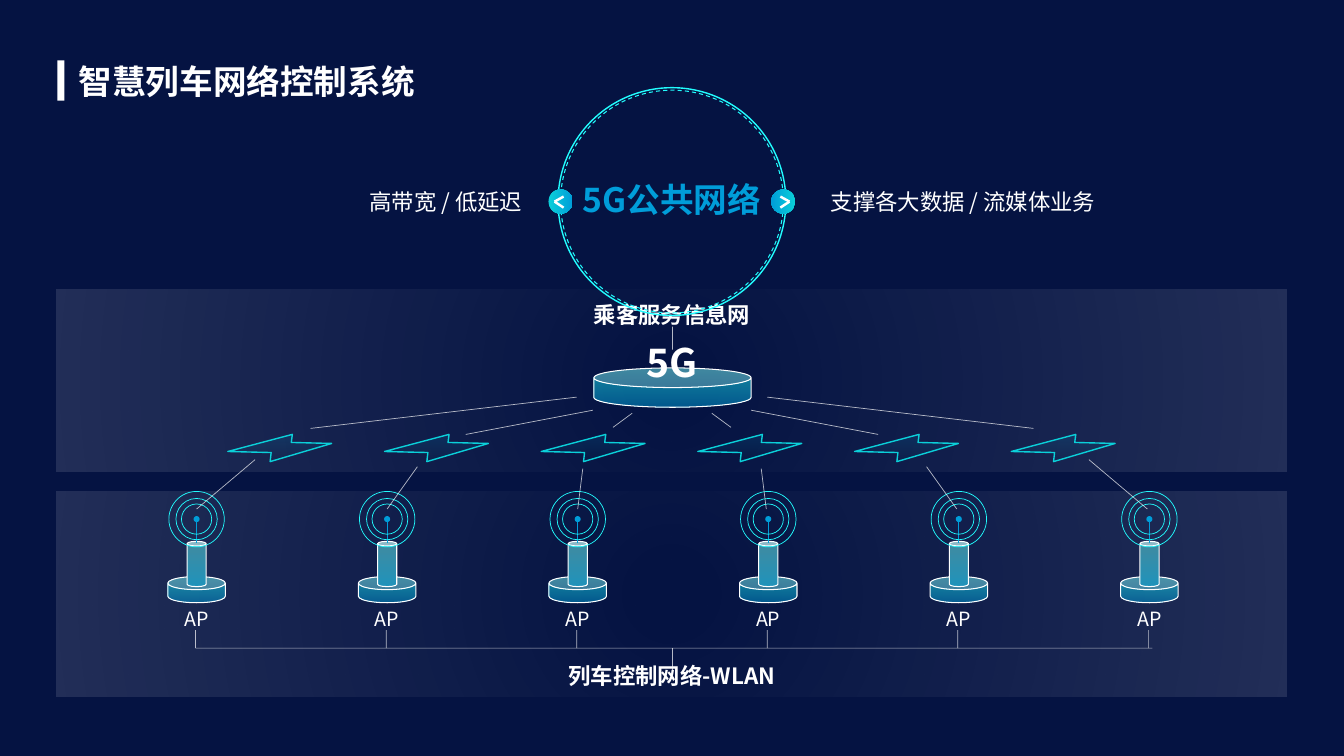
import lxml.etree
import pptx
import pptx.dml.color
import pptx.enum.dml
import pptx.enum.shapes
import pptx.enum.text
import pptx.oxml.ns
import pptx.util

Inches = pptx.util.Inches
Pt = pptx.util.Pt
qn = pptx.oxml.ns.qn
SHAPES = pptx.enum.shapes.MSO_SHAPE
ALIGN = pptx.enum.text.PP_ALIGN

FONT = "Noto Sans CJK SC"
WIDTH = 13.33
WHITE, CYAN, BLUE, TEAL = "FFFFFF", "22FCFE", "009DD9", "0BD0D9"
GLASS = [(CYAN, 50), (BLUE, 50)]
STATION_COUNT = 6
FIRST_STATION, STATION_STEP = 1.95, 1.89
FIRST_BOLT, BOLT_STEP = 2.26, 1.554
BOLT = [(0.42, 4.58), (0.43, 4.49), (0, 4.48), (0.64, 4.31),
        (0.63, 4.39), (1.03, 4.4)]
# Left half of the links; the right half is mirrored.
LINKS = [
    ((2.53, 4.56), (1.95, 5.05)),
    ((4.14, 4.63), (3.84, 5.05)),
    ((5.78, 4.65), (5.73, 5.05)),
    ((5.72, 3.94), (3.08, 4.25)),
    ((5.88, 4.07), (4.62, 4.31)),
    ((6.27, 4.1), (6.08, 4.24)),
]


def rgb(value):
    return pptx.dml.color.RGBColor.from_string(value)


def mirror(point):
    return WIDTH - point[0], point[1]


def fill_gradient(shape, stops, angle=90, radial=False):
    """Fill with (colour, opacity percent) stops, evenly spread."""
    gradient = lxml.etree.Element(qn("a:gradFill"), rotWithShape="1")
    stop_list = lxml.etree.SubElement(gradient, qn("a:gsLst"))
    for index, (color, opacity) in enumerate(stops):
        position = index * 100000 // (len(stops) - 1)
        stop = lxml.etree.SubElement(stop_list, qn("a:gs"), pos=str(position))
        tint = lxml.etree.SubElement(stop, qn("a:srgbClr"), val=color)
        lxml.etree.SubElement(tint, qn("a:alpha"), val=str(opacity * 1000))
    if radial:
        course = lxml.etree.SubElement(gradient, qn("a:path"), path="circle")
        lxml.etree.SubElement(course, qn("a:fillToRect"),
                              l="50000", t="50000", r="50000", b="50000")
    else:
        lxml.etree.SubElement(gradient, qn("a:lin"), ang=str(angle * 60000), scaled="0")
    shape.fill.background()
    empty = shape.element.spPr.find(qn("a:noFill"))
    empty.getparent().replace(empty, gradient)


def style_shape(shape, fill=None, line=None, line_width=0.5, angle=90, radial=False):
    """Apply a hex fill or gradient stops, and an optional outline."""
    shape.shadow.inherit = False
    if isinstance(fill, list):
        fill_gradient(shape, fill, angle, radial)
    elif fill:
        shape.fill.solid()
        shape.fill.fore_color.rgb = rgb(fill)
    else:
        shape.fill.background()
    if line:
        shape.line.color.rgb = rgb(line)
        shape.line.width = Pt(line_width)
    else:
        shape.line.fill.background()
    return shape


def add_preset(canvas, preset, left, top, width, height, **style):
    shape = canvas.add_shape(preset, Inches(left), Inches(top),
                             Inches(width), Inches(height))
    return style_shape(shape, **style)


def add_ring(canvas, center_x, center_y, size, **style):
    return add_preset(canvas, SHAPES.OVAL, center_x - size / 2, center_y - size / 2,
                      size, size, **style)


def add_can(canvas, center_x, top, width, height, rim, fill):
    can = add_preset(canvas, SHAPES.CAN, center_x - width / 2, top, width, height,
                     fill=fill, line=WHITE, line_width=0)
    can.adjustments[0] = rim


def add_line(canvas, start, end, color=WHITE, width=0.5, opacity=70):
    line = canvas.add_connector(pptx.enum.shapes.MSO_CONNECTOR.STRAIGHT,
                                *(Inches(value) for value in (*start, *end)))
    line.line.color.rgb = rgb(color)
    line.line.width = Pt(width)
    properties = line.element.spPr
    if opacity < 100:
        tint = next(properties.iter(qn("a:srgbClr")))
        lxml.etree.SubElement(tint, qn("a:alpha"), val=str(opacity * 1000))
    lxml.etree.SubElement(properties, qn("a:effectLst"))


def write_text(box, text, size=16, color=WHITE, bold=False, align=ALIGN.CENTER, wrap=False):
    frame = box.text_frame
    frame.margin_left = frame.margin_right = frame.margin_top = frame.margin_bottom = 0
    frame.vertical_anchor = pptx.enum.text.MSO_ANCHOR.TOP
    frame.auto_size = pptx.enum.text.MSO_AUTO_SIZE.NONE
    frame.word_wrap = wrap
    para = frame.paragraphs[0]
    para.alignment = align
    span = para.add_run()
    span.text = text
    font = span.font
    font.name, font.size, font.bold = FONT, Pt(size), bold
    font.color.rgb = rgb(color)
    latin = next(para._p.iter(qn("a:latin")))
    latin.addnext(latin.makeelement(qn("a:ea"), {"typeface": FONT}))


def add_text(canvas, left, top, width, height, text, **style):
    box = canvas.add_textbox(Inches(left), Inches(top), Inches(width), Inches(height))
    write_text(box, text, **style)


def add_title(page, text):
    title = page.shapes.title
    title.left, title.top = Inches(0.78), Inches(0.6)
    title.width, title.height = Inches(3.79), Inches(0.4)
    write_text(title, text, size=24, bold=True, align=ALIGN.LEFT)
    add_preset(page.shapes, SHAPES.RECTANGLE, 0.57, 0.6, 0.07, 0.4, fill=WHITE)


def add_station(page, x):
    """Draw one access point with its antenna, waves and label."""
    station = page.shapes.add_group_shape().shapes
    add_can(station, x, 5.72, 0.57, 0.26, 0.5, GLASS)
    add_can(station, x, 5.37, 0.19, 0.45, 0.245, [("418AA0", 100), ("2093BA", 100)])
    add_line(station, (x, 5.18), (x, 5.39), color=BLUE, opacity=100)
    add_ring(station, x, 5.15, 0.06, fill=BLUE)
    for size in (0.3, 0.41, 0.55):
        add_ring(station, x, 5.15, size, line=CYAN)
    add_text(station, x - 0.13, 6.02, 0.26, 0.24, "AP", size=14)


def add_bolt(canvas, left):
    points = [(Inches(left + x), Inches(y)) for x, y in BOLT]
    builder = canvas.build_freeform(*points[0])
    builder.add_line_segments(points[1:], close=True)
    style_shape(builder.convert_to_shape(), fill=[(BLUE, 15), (TEAL, 0)],
                line=TEAL, line_width=1)


def add_hub(canvas):
    """Draw the public network circle with an arrow badge on each side."""
    center = WIDTH / 2
    add_ring(canvas, center, 2, 2.26, line=CYAN, line_width=1)
    dashed = add_ring(canvas, center, 2, 2.21, line=CYAN, line_width=0.75)
    dashed.line.dash_style = pptx.enum.dml.MSO_LINE.DASH
    for angle, place in ((180, lambda point: point), (0, mirror)):
        add_ring(canvas, *place((7.77, 2)), 0.24, angle=angle,
                 fill=[(TEAL, 100), (BLUE, 100)])
        for y in (2.06, 1.95):
            add_line(canvas, place((7.74, y)), place((7.83, 2)), width=1.75, opacity=100)


def main():
    deck = pptx.Presentation()
    deck.slide_width, deck.slide_height = Inches(WIDTH), Inches(7.5)
    page = deck.slides.add_slide(deck.slide_layouts[5])
    page.background.fill.solid()
    page.background.fill.fore_color.rgb = rgb("051342")
    shapes = page.shapes
    add_title(page, "智慧列车网络控制系统")

    for top, height in ((4.88, 2.03), (2.87, 1.81)):
        add_preset(shapes, SHAPES.RECTANGLE, 0.56, top, 12.2, height,
                   fill=[(WHITE, 0), (WHITE, 12)], radial=True)
    add_can(shapes, 6.67, 3.65, 1.56, 0.39, 0.5, GLASS)
    add_text(shapes, 5.58, 6.57, 2.17, 0.27, "列车控制网络-WLAN", bold=True)
    add_text(shapes, 6.32, 3.36, 0.69, 0.47, "5G", size=28, bold=True)
    add_text(shapes, 5.88, 2.99, 1.57, 0.27, "乘客服务信息网", bold=True)

    for index in range(STATION_COUNT):
        x = FIRST_STATION + index * STATION_STEP
        add_station(page, x)
        add_line(shapes, (x - 0.01, 6.25), (x - 0.01, 6.43))
        add_bolt(shapes, FIRST_BOLT + index * BOLT_STEP)
    add_line(shapes, (1.94, 6.43), (11.43, 6.43))
    for top in (6.43, 3.24):
        add_line(shapes, (6.67, top), (6.67, top + 0.23))
    for start, end in LINKS:
        add_line(shapes, start, end)
        add_line(shapes, mirror(start), mirror(end))

    add_text(shapes, 8.24, 1.87, 2.7, 0.27, "支撑各大数据 / 流媒体业务",
             align=ALIGN.LEFT, wrap=True)
    add_text(shapes, 5.76, 1.78, 1.81, 0.4, "5G公共网络",
             size=24, color=BLUE, bold=True, wrap=True)
    add_text(shapes, 3.6, 1.87, 1.58, 0.27, "高带宽 / 低延迟",
             align=ALIGN.RIGHT, wrap=True)
    add_hub(shapes)
    deck.save("out.pptx")


if __name__ == "__main__":
    main()
